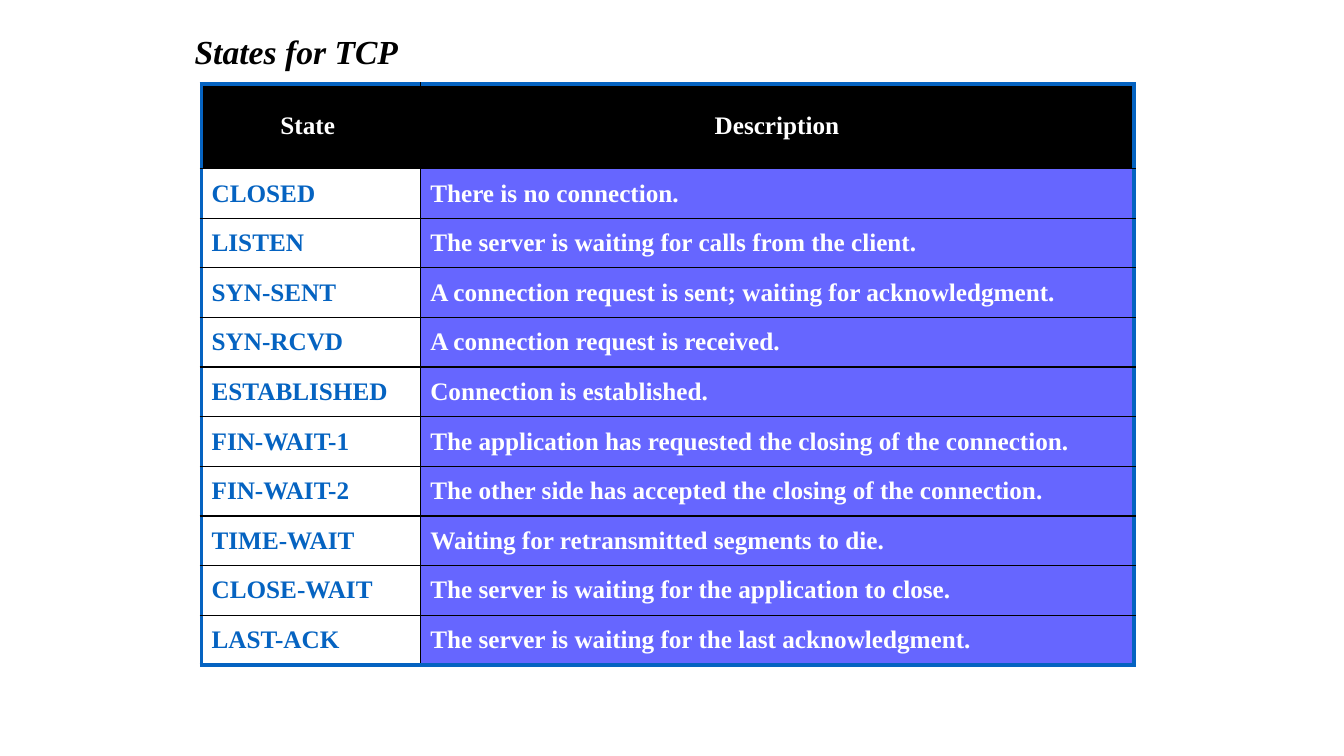
from dataclasses import dataclass

from lxml.etree import SubElement
from pptx import Presentation
from pptx.dml.color import RGBColor
from pptx.enum.text import MSO_ANCHOR, MSO_AUTO_SIZE, PP_ALIGN
from pptx.oxml.ns import qn
from pptx.util import Cm, Pt

TITLE = "States for TCP"
HEADINGS = ("State ", "Description")
STATES = [
    ("CLOSED", "There is no connection."),
    ("LISTEN", "The server is waiting for calls from the client."),
    ("SYN-SENT", "A connection request is sent; waiting for acknowledgment."),
    ("SYN-RCVD", "A connection request is received."),
    ("ESTABLISHED", "Connection is established."),
    ("FIN-WAIT-1", "The application has requested the closing of the connection."),
    ("FIN-WAIT-2", "The other side has accepted the closing of the connection."),
    ("TIME-WAIT", "Waiting for retransmitted segments to die."),
    ("CLOSE-WAIT", "The server is waiting for the application to close."),
    ("LAST-ACK", "The server is waiting for the last acknowledgment."),
]


@dataclass(frozen=True)
class Theme:
    font: str = "Times New Roman"
    black: str = "000000"
    white: str = "FFFFFF"
    blue: str = "0563C1"
    violet: str = "6666FF"
    title_size: int = 24
    table_size: int = 18
    frame_width: int = 3
    grid_width: int = 1


THEME = Theme()
COLUMN_WIDTHS = (5.51, 17.98)
HEADING_HEIGHT, STATE_HEIGHT = 2.13, 1.25


def add_text(paragraph, text, size, color, italic=False):
    run = paragraph.add_run()
    run.text = text
    run.font.name = THEME.font
    run.font.size = Pt(size)
    run.font.bold = True
    run.font.italic = italic
    run.font.color.rgb = RGBColor.from_string(color)


def set_borders(cell, outer_sides):
    """Draw the blue frame on the outer sides and the thin black grid on the rest."""
    properties = cell._tc.get_or_add_tcPr()
    for position, side in enumerate("LRTB"):
        outer = side in outer_sides
        width = THEME.frame_width if outer else THEME.grid_width
        line = SubElement(properties, qn(f"a:ln{side}"), w=str(Pt(width)))
        fill = SubElement(line, qn("a:solidFill"))
        SubElement(fill, qn("a:srgbClr"), val=THEME.blue if outer else THEME.black)
        properties.insert(position, line)


def add_title(slide):
    title = slide.shapes.title
    title.left, title.top, title.width, title.height = Cm(4.65), Cm(0.64), Cm(5.69), Cm(1.27)
    frame = title.text_frame
    frame.word_wrap = False
    frame.auto_size = MSO_AUTO_SIZE.SHAPE_TO_FIT_TEXT
    frame.vertical_anchor = MSO_ANCHOR.TOP
    heading = frame.paragraphs[0]
    heading.alignment = PP_ALIGN.LEFT
    add_text(heading, TITLE, THEME.title_size, THEME.black, italic=True)


def add_state_table(slide):
    rows = [HEADINGS, *STATES]
    heights = [HEADING_HEIGHT] + [STATE_HEIGHT] * len(STATES)
    table = slide.shapes.add_table(
        len(rows), len(HEADINGS), Cm(5.08), Cm(2.12), Cm(sum(COLUMN_WIDTHS)), Cm(sum(heights))
    ).table
    table.first_row = True
    table.horz_banding = False
    for column, width in zip(table.columns, COLUMN_WIDTHS):
        column.width = Cm(width)

    body_colors = ((THEME.white, THEME.blue), (THEME.violet, THEME.white))
    for row_index, (texts, height) in enumerate(zip(rows, heights)):
        table.rows[row_index].height = Cm(height)
        is_heading = row_index == 0
        edge = "T" if is_heading else "B" if row_index == len(STATES) else ""
        for column_index, text in enumerate(texts):
            background, ink = (
                (THEME.black, THEME.white) if is_heading else body_colors[column_index]
            )
            cell = table.cell(row_index, column_index)
            cell.vertical_anchor = MSO_ANCHOR.MIDDLE
            cell.fill.solid()
            cell.fill.fore_color.rgb = RGBColor.from_string(background)
            set_borders(cell, edge + "LR"[column_index])
            paragraph = cell.text_frame.paragraphs[0]
            paragraph.alignment = PP_ALIGN.CENTER if is_heading else PP_ALIGN.LEFT
            add_text(paragraph, text, THEME.table_size, ink)


def main():
    deck = Presentation()
    deck.slide_width, deck.slide_height = Cm(33.87), Cm(19.05)
    slide = deck.slides.add_slide(deck.slide_layouts.get_by_name("Title Only"))
    add_title(slide)
    add_state_table(slide)
    deck.save("out.pptx")


if __name__ == "__main__":
    main()
